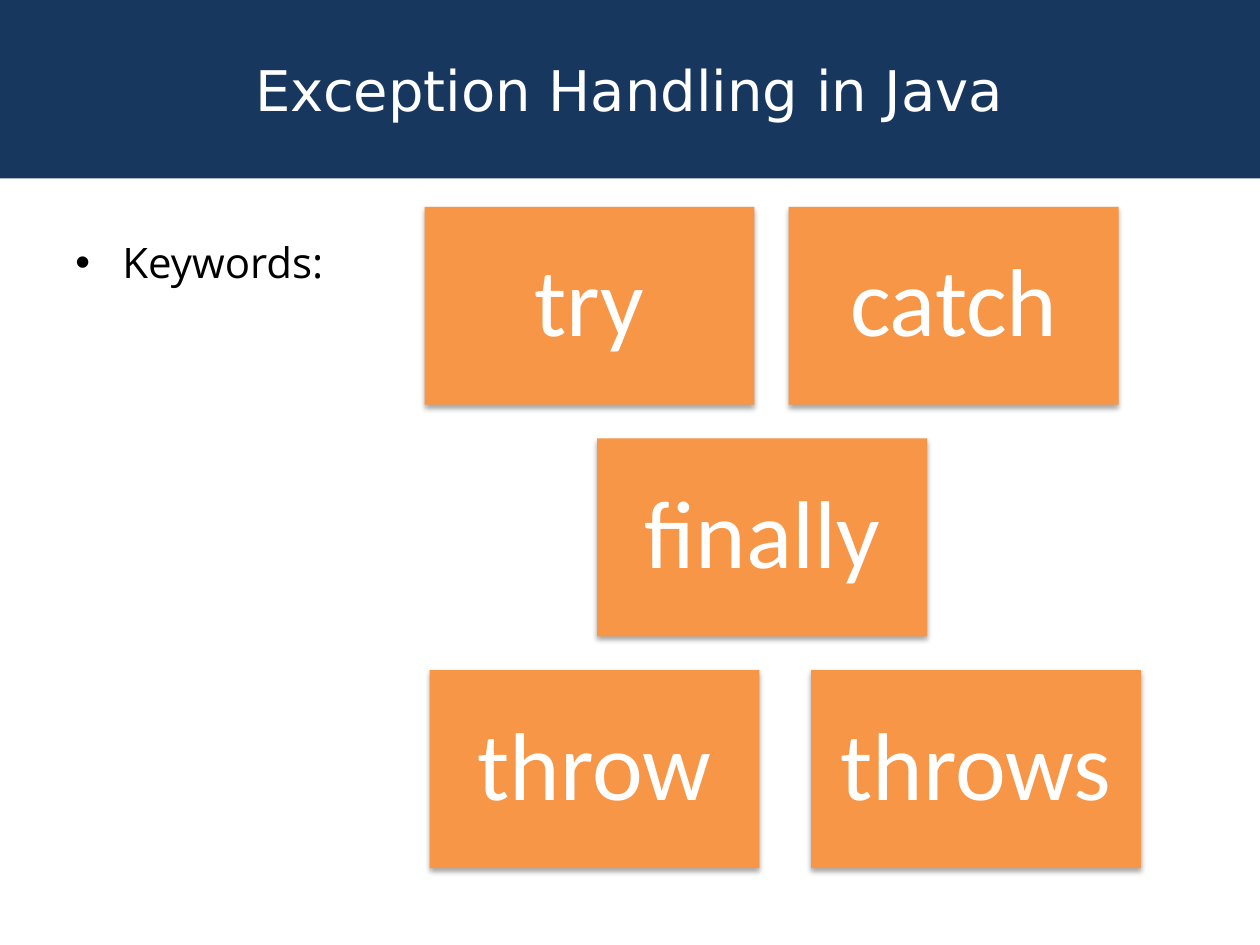
from lxml import etree
from pptx import Presentation
from pptx.dml.color import RGBColor
from pptx.enum.shapes import MSO_SHAPE
from pptx.enum.text import MSO_ANCHOR, PP_ALIGN
from pptx.oxml import parse_xml
from pptx.oxml.ns import nsdecls, qn
from pptx.util import Cm, Pt

NAVY = RGBColor(0x17, 0x37, 0x5E)
ORANGE = RGBColor(0xF7, 0x96, 0x46)
WHITE = RGBColor(0xFF, 0xFF, 0xFF)
BLACK = RGBColor(0x00, 0x00, 0x00)

TILE_W, TILE_H, ROW_PITCH = 6.65, 3.99, 4.67
# Each row: left offset, gap between tiles, keywords
KEYWORD_ROWS = [
    (0, 0.69, ["try", "catch"]),
    (3.48, 0, ["finally"]),
    (0.1, 1.04, ["throw", "throws"]),
]


def write(sp, text, font, size, color, align=PP_ALIGN.CENTER,
          anchor=MSO_ANCHOR.MIDDLE, spacing=None):
    tf = sp.text_frame
    tf.word_wrap = True
    tf.vertical_anchor = anchor
    p = tf.paragraphs[0]
    p.alignment = align
    p.line_spacing = spacing
    r = p.add_run()
    r.text = text
    r.font.name = font
    r.font.size = Pt(size)
    r.font.color.rgb = color
    return p


def add_rect(s, x, y, w, h, color):
    sp = s.shapes.add_shape(MSO_SHAPE.RECTANGLE, Cm(x), Cm(y), Cm(w), Cm(h))
    sp.shadow.inherit = False
    sp.fill.solid()
    sp.fill.fore_color.rgb = color
    sp.line.fill.background()
    return sp


def add_title(s, x, y, w, h):
    sp = add_rect(s, x, y, w, h, NAVY)
    write(sp, "Exception Handling in Java", "DejaVu Sans", 32, WHITE)


def add_body(s, x, y, w, h):
    sp = s.shapes.add_textbox(Cm(x), Cm(y), Cm(w), Cm(h))
    p = write(sp, "Keywords:", "Open Sans", 24, BLACK,
              align=PP_ALIGN.LEFT, anchor=MSO_ANCHOR.TOP)
    # Bullet with a hanging indent
    pPr = p._p.get_or_add_pPr()
    pPr.set("marL", str(Cm(0.95)))
    pPr.set("indent", str(-Cm(0.95)))
    etree.SubElement(pPr, qn("a:buFont")).set("typeface", "Arial")
    etree.SubElement(pPr, qn("a:buChar")).set("char", "•")


def add_tile(s, x, y, word):
    sp = add_rect(s, x, y, TILE_W, TILE_H, ORANGE)
    # Soft shadow straight below
    sp._element.spPr.find(qn("a:effectLst")).append(parse_xml(
        f'<a:outerShdw {nsdecls("a")} blurRad="{Pt(3.1)}" dist="{Pt(1.8)}" '
        'dir="5400000" rotWithShape="0"><a:srgbClr val="000000">'
        '<a:alpha val="35000"/></a:srgbClr></a:outerShdw>'))
    tf = sp.text_frame
    tf.margin_left = tf.margin_right = Cm(0.58)
    tf.margin_top = tf.margin_bottom = Cm(0.58)
    write(sp, word, "Calibri", 55, WHITE, spacing=0.9)


def add_keywords(s, x, y):
    for row, (offset, gap, words) in enumerate(KEYWORD_ROWS):
        for col, word in enumerate(words):
            add_tile(s, x + offset + col * (TILE_W + gap),
                     y + row * ROW_PITCH, word)


def main():
    prs = Presentation()
    prs.slide_width, prs.slide_height = Cm(25.4), Cm(19.05)
    s = prs.slides.add_slide(prs.slide_layouts[6])
    add_title(s, 0, 0, 25.4, 3.6)
    add_body(s, 1.27, 4.65, 22.86, 12.37)
    add_keywords(s, 8.56, 4.17)
    prs.save("out.pptx")


if __name__ == "__main__":
    main()
